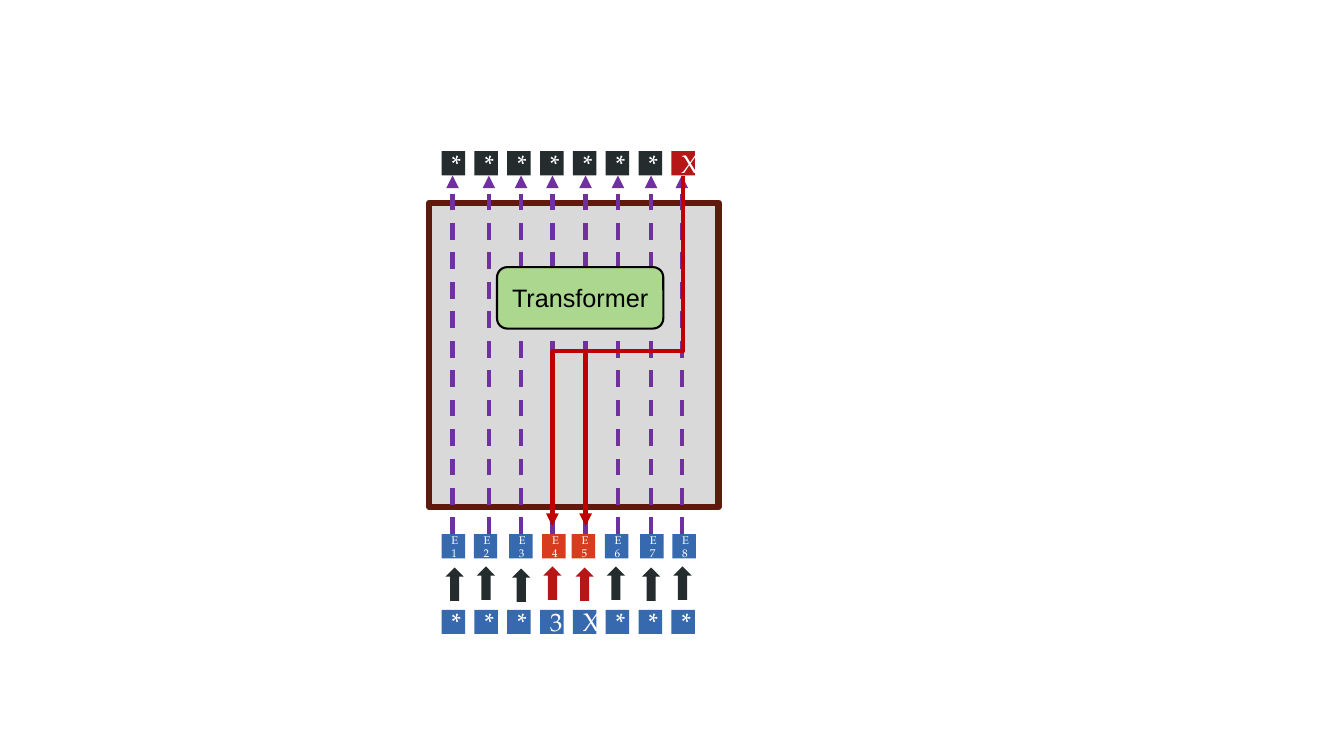
import pptx
import pptx.dml.color
import pptx.enum.dml
import pptx.enum.shapes
import pptx.enum.text
import pptx.oxml
import pptx.util

Pt = pptx.util.Pt
KIND = pptx.enum.shapes.MSO_SHAPE
WIRE = pptx.enum.shapes.MSO_CONNECTOR
BLUE, DARK, RED, ORANGE = "3769AF", "242C2D", "B61616", "D73C1E"
SERIF = "TeX Gyre Pagella"

deck = pptx.Presentation()
deck.slide_width, deck.slide_height = Pt(960), Pt(540)
slide = deck.slides.add_slide(deck.slide_layouts[6])


def block(kind, x, y, w, h, fill, text="", size=18, font=SERIF, ink="FFFFFF", edge=None, weight=1):
    """Add a filled shape with optional centred text and outline."""
    shape = slide.shapes.add_shape(kind, Pt(x), Pt(y), Pt(w), Pt(h))
    shape.shadow.inherit = False
    shape.fill.solid()
    shape.fill.fore_color.rgb = pptx.dml.color.RGBColor.from_string(fill)
    if edge:
        shape.line.color.rgb = pptx.dml.color.RGBColor.from_string(edge)
        shape.line.width = Pt(weight)
    else:
        shape.line.fill.background()
    if text:
        frame = shape.text_frame
        frame.word_wrap = True
        frame.vertical_anchor = pptx.enum.text.MSO_ANCHOR.MIDDLE
        para = frame.paragraphs[0]
        para.alignment = pptx.enum.text.PP_ALIGN.CENTER
        run = para.add_run()
        run.text = text
        run.font.size, run.font.name = Pt(size), font
        run.font.color.rgb = pptx.dml.color.RGBColor.from_string(ink)
    return shape


def arrow(kind, x1, y1, x2, y2, ink):
    """Add a 3 pt connector with a triangle at its end."""
    wire = slide.shapes.add_connector(kind, Pt(x1), Pt(y1), Pt(x2), Pt(y2))
    wire.line.color.rgb = pptx.dml.color.RGBColor.from_string(ink)
    wire.line.width = Pt(3)
    props = wire.element.spPr
    tail = pptx.oxml.parse_xml(
        '<a:tailEnd xmlns:a="http://schemas.openxmlformats.org/drawingml/2006/main" type="triangle"/>')
    wire.line._get_or_add_ln().append(tail)
    props.append(pptx.oxml.parse_xml(
        '<a:effectLst xmlns:a="http://schemas.openxmlformats.org/drawingml/2006/main"/>'))
    return wire


# Model frame
block(KIND.RECTANGLE, 306.7, 144.7, 206.6, 217.4, "D9D9D9", edge="5E1A0D", weight=4.33)

# Input and output tokens
left, step, wide, high = 315.4, 23.45, 16.8, 17.3
for top, row, fills in (
    (435.6, "***3X***", [BLUE] * 8),
    (108, "*******X", [DARK] * 7 + [RED]),
):
    for i, (text, fill) in enumerate(zip(row, fills)):
        block(KIND.RECTANGLE, left + i * step, top, wide, high, fill, text)

# Dashed paths from embeddings to outputs
for x in (323.3, 349.2, 372.2, 394.6, 418.3, 441.4, 465.1, 487):
    path = arrow(WIRE.STRAIGHT, x, 381.6, x, 125.4, "7030A0")
    path.line.dash_style = pptx.enum.dml.MSO_LINE.DASH

# Embeddings
for i, x in enumerate((315.4, 338.4, 363.6, 387.2, 408.4, 432, 457.2, 480.2), 1):
    block(KIND.RECTANGLE, x, 381.6, wide, high, ORANGE if i in (4, 5) else BLUE, f"E{i}", 8)

# Arrows from tokens to embeddings
spots = ((318.2, 405.4), (340.6, 404.6), (365.8, 406.1), (388.1, 404.6),
         (411.1, 405.4), (433.4, 404.6), (458.6, 405.4), (481, 404.6))
for i, (x, y) in enumerate(spots, 1):
    head = block(KIND.DOWN_ARROW, x, y, 13, 23.8, RED if i in (4, 5) else DARK)
    head.rotation = 180

# Red elbows from the output X: laid out sideways, then turned a quarter
start, top, end = 487.6, 125.4, 375.8
for goal in (418.3, 394.6):
    mid, centre = (start + goal) / 2, (top + end) / 2
    long, short = (end - top) / 2, (start - goal) / 2
    elbow = arrow(WIRE.ELBOW, mid - long, centre - short, mid + long, centre + short, "C00000")
    elbow.element.spPr.xfrm.set("rot", "5400000")

block(KIND.ROUNDED_RECTANGLE, 355, 190.8, 118.8, 43.9, "ACD78E", "Transformer",
      font="Arial", ink="000000", edge="000000", weight=1.5)

deck.save("out.pptx")
